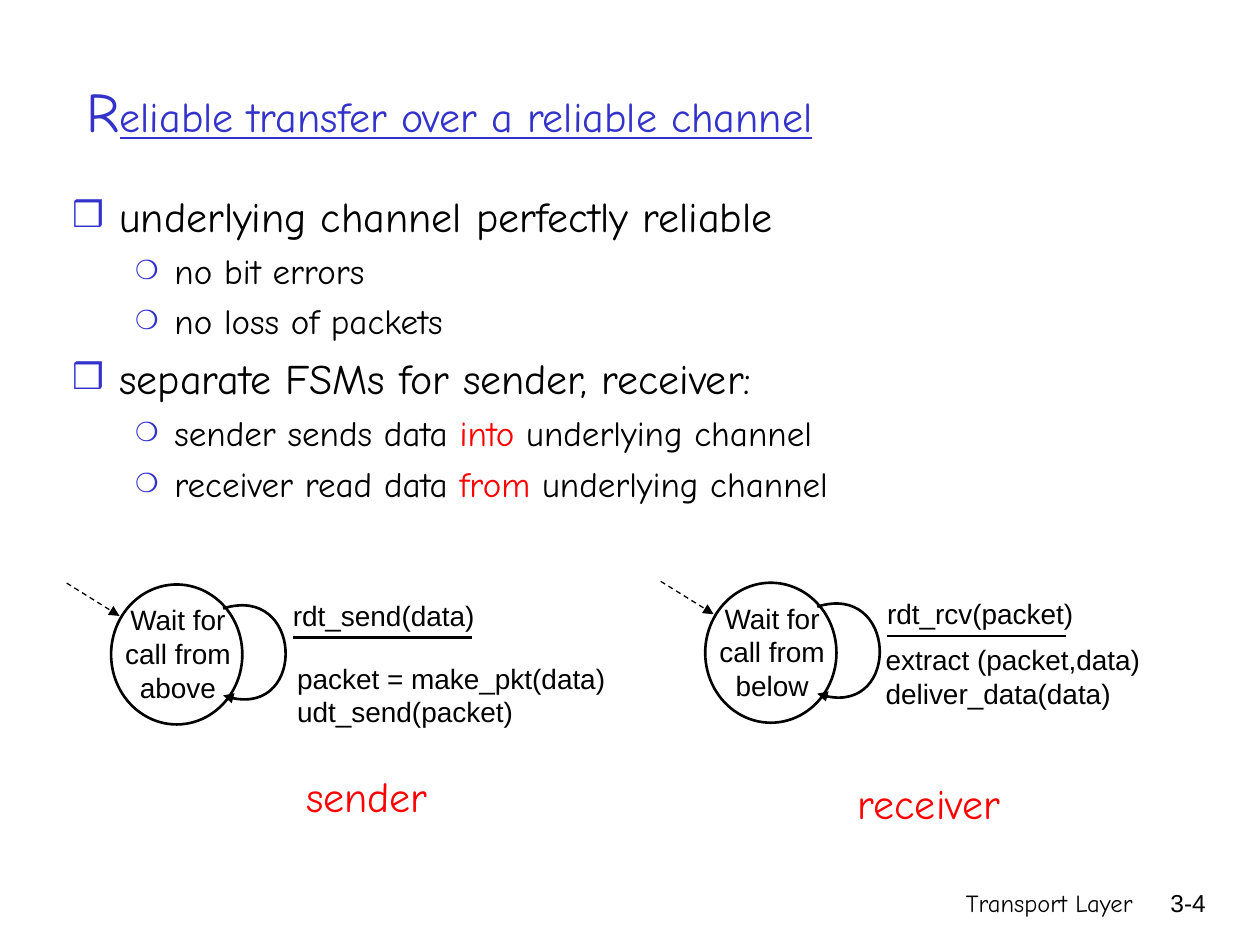
from lxml import etree
from pptx import Presentation
from pptx.dml.color import RGBColor
from pptx.enum.dml import MSO_LINE
from pptx.enum.shapes import MSO_CONNECTOR, MSO_SHAPE
from pptx.enum.text import MSO_ANCHOR, MSO_AUTO_SIZE, PP_ALIGN
from pptx.oxml.ns import qn
from pptx.util import Pt

LEFT, MID, RIGHT = PP_ALIGN.LEFT, PP_ALIGN.CENTER, PP_ALIGN.RIGHT
TOP, CENTER = MSO_ANCHOR.TOP, MSO_ANCHOR.MIDDLE
OVAL, STRAIGHT = MSO_SHAPE.OVAL, MSO_CONNECTOR.STRAIGHT
DASH, FIXED = MSO_LINE.DASH, MSO_AUTO_SIZE.NONE
COLORS = {"ink": "000000", "paper": "FFFFFF", "blue": "3333CC", "red": "FF0000"}
HAND, SANS = "Comic Neue", "Arial"
# Per list level: text size, space before, left margin, hang, bullet, bullet size
LEVELS = [(24, 6, 27, 27, "\u2752", 85), (20, 5, 58.5, 22.5, "\u274d", 75)]


def color(name):
    """Return the named colour."""
    return RGBColor.from_string(COLORS[name])


def child(node, tag, **attrs):
    """Append a drawing element to a node."""
    return etree.SubElement(node, qn("a:" + tag), attrs)


def write(para, text, size=16, font=SANS, ink="ink", line=None):
    """Add one formatted run to a paragraph."""
    run = para.add_run()
    run.text = text
    run.font.size, run.font.name = Pt(size), font
    run.font.color.rgb = color(ink)
    run.font.underline = line


def label(slide, x, y, w, h, lines, align=LEFT, **style):
    """Place a text box with one paragraph for each line."""
    frame = slide.shapes.add_textbox(Pt(x), Pt(y), Pt(w), Pt(h)).text_frame
    frame.word_wrap = True
    for i, text in enumerate(lines):
        para = frame.paragraphs[0] if i == 0 else frame.add_paragraph()
        para.alignment = align
        write(para, text, **style)


def stroke(shape, width=1.5, dash=None, arrow=False):
    """Format an outline, with an arrowhead at its end if asked."""
    shape.line.color.rgb = color("ink")
    shape.line.width = Pt(width)
    if dash:
        shape.line.dash_style = dash
    if arrow:
        child(shape.line._get_or_add_ln(), "tailEnd", type="triangle")


def rule(slide, x1, y1, x2, y2, **style):
    """Draw a straight line without shadow."""
    line = slide.shapes.add_connector(STRAIGHT, Pt(x1), Pt(y1), Pt(x2), Pt(y2))
    stroke(line, **style)
    child(line._element.spPr, "effectLst")


def curve(slide, start, *points):
    """Draw a cubic curve with an arrowhead at its end."""
    build = slide.shapes.build_freeform(Pt(start[0]), Pt(start[1]))
    build.add_line_segments([(Pt(x), Pt(y)) for x, y in points], close=False)
    shape = build.convert_to_shape()
    steps = shape._element.findall(".//" + qn("a:lnTo"))
    bend = child(steps[0].getparent(), "cubicBezTo")
    for step in steps:
        bend.append(step[0])
        step.getparent().remove(step)
    shape.fill.background()
    shape.shadow.inherit = False
    stroke(shape, arrow=True)


def place(shape, x, y, w, h, anchor):
    """Move a placeholder and return its text frame."""
    shape.left, shape.top, shape.width, shape.height = Pt(x), Pt(y), Pt(w), Pt(h)
    frame = shape.text_frame
    frame.auto_size, frame.vertical_anchor = FIXED, anchor
    return frame


def head(slide, x, y, w, h):
    """Fill the title, with a large first letter."""
    para = place(slide.shapes.title, x, y, w, h, CENTER).paragraphs[0]
    para.alignment = LEFT
    write(para, "R", size=32, font=HAND, ink="blue")
    write(para, "eliable transfer over a reliable channel",
          size=24, font=HAND, ink="blue", line=True)


def body(slide, x, y, w, h, items):
    """Fill the bullet list; every second text part of an item is red."""
    frame = place(slide.placeholders[1], x, y, w, h, TOP)
    for i, (level, *parts) in enumerate(items):
        size, gap, left, hang, mark, scale = LEVELS[level]
        para = frame.paragraphs[0] if i == 0 else frame.add_paragraph()
        para.level, para.space_before = level, Pt(gap)
        props = para._p.get_or_add_pPr()
        props.set("marL", str(Pt(left)))
        props.set("indent", str(-Pt(hang)))
        child(child(props, "buClr"), "srgbClr", val=COLORS["blue"])
        child(props, "buSzPct", val=str(scale * 1000))
        child(props, "buChar", char=mark)
        for j, text in enumerate(parts):
            write(para, text, size=size, font=HAND, ink="red" if j % 2 else "ink")


def state(slide, x, y, wait, event, acts, act, role, spot):
    """Draw a one-state machine; act and spot are offsets from its corner."""
    ring = slide.shapes.add_shape(OVAL, Pt(x), Pt(y), Pt(75), Pt(80))
    ring.fill.solid()
    ring.fill.fore_color.rgb = color("paper")
    ring.shadow.inherit = False
    stroke(ring)
    label(slide, x - 5, y + 7, 86.4, 72, [wait], align=MID)
    curve(slide, (x + 64, y + 13.7), (x + 109.4, y - 0.6),
          (x + 112.3, y + 80), (x + 64, y + 63.4))
    rule(slide, x - 25.4, y - 0.8, x + 4.8, y + 18, width=0.75, dash=DASH, arrow=True)
    label(slide, x + 96.8, y + 4.2, 178, 27, [event])
    rule(slide, x + 104, y + 30.4, x + 206.2, y + 30.4)
    label(slide, x + act[0], y + act[1], 230, 47, acts)
    label(slide, x + spot[0], y + spot[1], 100, 36, [role],
          size=24, font=HAND, ink="red")


def foot(slide, x, y):
    """Write the chapter name and page number."""
    label(slide, x, y, 228.2, 36, ["Transport Layer"], align=RIGHT, size=14, font=HAND)
    label(slide, x + 216.7, y, 53.3, 36, ["3-4"], align=RIGHT, size=14)


deck = Presentation()
deck.slide_width, deck.slide_height = Pt(720), Pt(540)
slide = deck.slides.add_slide(deck.slide_layouts[1])
head(slide, 42, 18, 630, 90)
body(slide, 34, 105, 622, 237.6, [
    (0, "underlying channel perfectly reliable"),
    (1, "no bit errors"),
    (1, "no loss of packets"),
    (0, "separate FSMs for sender, receiver:"),
    (1, "sender sends data ", "into", " underlying channel"),
    (1, "receiver read data ", "from", " underlying channel"),
])
state(slide, 63.5, 334, "Wait for call from above", "rdt_send(data)",
      ["packet = make_pkt(data)", "udt_send(packet)"], (99.2, 40.4),
      "sender", (104.3, 103))
state(slide, 403, 333, "Wait for call from below", "rdt_rcv(packet)",
      ["extract (packet,data)", "deliver_data(data)"], (96, 30.6),
      "receiver", (80.1, 107.6))
foot(slide, 426.2, 504)
deck.save("out.pptx")
